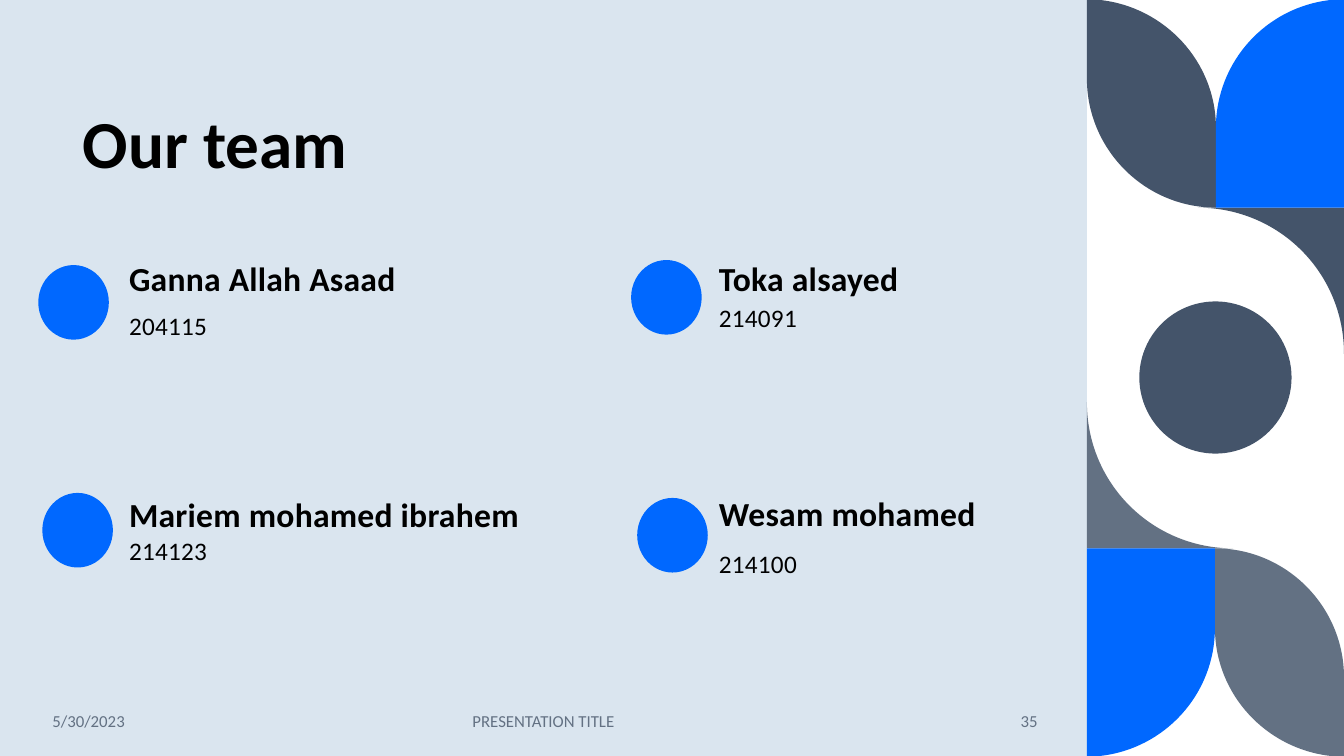
"""Build the "Our team" slide with four members and a geometric side band."""
from dataclasses import dataclass

import lxml.etree
import pptx
import pptx.dml.color
import pptx.enum.shapes
import pptx.enum.text
import pptx.oxml.ns
import pptx.util

Inches = pptx.util.Inches
ALIGN = pptx.enum.text.PP_ALIGN
ANCHOR = pptx.enum.text.MSO_ANCHOR
SHAPE = pptx.enum.shapes.MSO_SHAPE

COLORS = {
    "panel": "DAE5EF",
    "slate": "44546A",
    "gray": "637183",
    "blue": "0068FF",
    "white": "FFFFFF",
    "text": "000000",
}
SLIDE_W, SLIDE_H, PANEL_W = 13.33, 7.5, 10.78
Point = tuple[float, float]
Segments = list[tuple[Point, ...]]


@dataclass
class Member:
    name: str
    number: str
    left: float
    name_top: float
    number_top: float
    name_width: float
    dot: Point


@dataclass
class Petal:
    segments: Segments
    top_color: str
    bottom_color: str


@dataclass
class FooterItem:
    text: str
    left: float
    width: float
    align: ALIGN


MEMBERS = [
    Member("Ganna Allah Asaad", "204115", 1.28, 2.58, 3.08, 2.97, (0.38, 2.63)),
    Member("Toka alsayed", "214091", 7.13, 2.58, 3.0, 2.49, (6.26, 2.58)),
    Member("Mariem mohamed ibrahem", "214123", 1.28, 4.92, 5.31, 4.21, (0.42, 4.89)),
    Member("Wesam mohamed", "214100", 7.13, 4.91, 5.44, 2.88, (6.32, 4.94)),
]
PETALS = [
    Petal([((10.78, 0),), ((10.78, 0.78),),
           ((10.78, 1.48), (11.35, 2.06), (12.06, 2.06)), ((12.06, 1.27),),
           ((12.06, 0.61), (11.55, 0.07), (10.91, 0))], "slate", "gray"),
    Petal([((13.33, 2.06),), ((11.88, 2.06),),
           ((12.68, 2.06), (13.33, 2.7), (13.33, 3.51))], "slate", "gray"),
    Petal([((13.33, 0),), ((13.33, 2.06),), ((12.06, 2.06),), ((12.06, 1.27),),
           ((12.06, 0.61), (12.56, 0.07), (13.2, 0))], "blue", "blue"),
]
FOOTER = [
    FooterItem("5/30/2023", 0.42, 1.72, ALIGN.LEFT),
    FooterItem("PRESENTATION TITLE", 3.14, 4.5, ALIGN.CENTER),
    FooterItem("35", 9.11, 1.28, ALIGN.RIGHT),
]


def rgb(color: str) -> pptx.dml.color.RGBColor:
    """Return the named palette colour."""
    return pptx.dml.color.RGBColor.from_string(COLORS[color])


def paint(shape, color: str) -> None:
    """Give a shape a flat fill without outline or shadow."""
    shape.shadow.inherit = False
    shape.fill.solid()
    shape.fill.fore_color.rgb = rgb(color)
    shape.line.fill.background()


def add_flat(slide, kind: SHAPE, left: float, top: float,
             width: float, height: float, color: str) -> None:
    """Add a flat preset shape."""
    box = map(Inches, (left, top, width, height))
    paint(slide.shapes.add_shape(kind, *box), color)


def add_outline(slide, segments: Segments, color: str) -> None:
    """Add a closed flat outline; a segment of three points is a cubic curve."""
    points = [(Inches(x), Inches(y)) for segment in segments for x, y in segment]
    builder = slide.shapes.build_freeform(*points[0])
    builder.add_line_segments(points[1:], close=True)
    outline = builder.convert_to_shape()
    paint(outline, color)
    lines = iter(list(outline.element.iter(pptx.oxml.ns.qn("a:lnTo"))))
    for segment in segments[1:]:
        steps = [next(lines) for _ in segment]
        if len(steps) == 3:
            curve = lxml.etree.Element(pptx.oxml.ns.qn("a:cubicBezTo"))
            steps[0].addprevious(curve)
            for step in steps:
                curve.append(step[0])
                step.getparent().remove(step)


def write(frame, text: str, *, size: float, color: str = "text", bold: bool = False,
          align: ALIGN = ALIGN.LEFT, anchor: ANCHOR = ANCHOR.TOP,
          insets: tuple[float, ...] = (0, 0, 0, 0), spacing: int = 0,
          line_spacing: float = 1.0) -> None:
    """Write one formatted paragraph into a text frame."""
    frame.word_wrap = True
    frame.auto_size = pptx.enum.text.MSO_AUTO_SIZE.NONE
    frame.vertical_anchor = anchor
    (frame.margin_left, frame.margin_top,
     frame.margin_right, frame.margin_bottom) = map(Inches, insets)
    paragraph = frame.paragraphs[0]
    paragraph.alignment = align
    paragraph.line_spacing = line_spacing
    run = paragraph.add_run()
    run.text = text
    run.font.name = "Calibri"
    run.font.size = pptx.util.Pt(size)
    run.font.bold = bold
    run.font.color.rgb = rgb(color)
    if spacing:
        run._r.get_or_add_rPr().set("spc", str(spacing))


def add_label(slide, text: str, left: float, top: float,
              width: float, height: float, **style) -> None:
    """Add a text box with one formatted paragraph."""
    label = slide.shapes.add_textbox(*map(Inches, (left, top, width, height)))
    write(label.text_frame, text, **style)


def add_side_band(slide) -> None:
    """Draw the petals, each with its half-turn twin, and the centre disc."""
    for petal in PETALS:
        turned = [tuple((PANEL_W + SLIDE_W - x, SLIDE_H - y) for x, y in segment)
                  for segment in petal.segments]
        add_outline(slide, petal.segments, petal.top_color)
        add_outline(slide, turned, petal.bottom_color)
    add_flat(slide, SHAPE.OVAL, 11.3, 2.99, 1.51, 1.51, "slate")


def add_title(slide, text: str) -> None:
    """Place the title above the panel and format it."""
    title = slide.shapes.title
    slide.shapes._spTree.append(title._element)
    title.left, title.top, title.width, title.height = map(
        Inches, (0.82, 0.42, 9.19, 1.45))
    write(title.text_frame, text, size=48, bold=True, anchor=ANCHOR.BOTTOM,
          insets=(0, 0.05, 0.1, 0.05), line_spacing=0.9)


def add_member(slide, member: Member) -> None:
    """Draw one member's dot, name and number."""
    add_label(slide, member.name, member.left, member.name_top, member.name_width, 0.38,
              size=24, bold=True, anchor=ANCHOR.BOTTOM, spacing=20)
    add_label(slide, member.number, member.left, member.number_top, 2.49, 0.38,
              size=18, spacing=20)
    add_flat(slide, SHAPE.OVAL, *member.dot, 0.7, 0.74, "blue")


def main() -> None:
    """Build and save the slide."""
    deck = pptx.Presentation()
    deck.slide_width, deck.slide_height = Inches(SLIDE_W), Inches(SLIDE_H)
    slide = deck.slides.add_slide(deck.slide_layouts[5])
    slide.background.fill.solid()
    slide.background.fill.fore_color.rgb = rgb("white")
    add_flat(slide, SHAPE.RECTANGLE, 0, 0, PANEL_W, SLIDE_H, "panel")
    add_side_band(slide)
    add_title(slide, "Our team")
    for member in MEMBERS:
        add_member(slide, member)
    for item in FOOTER:
        add_label(slide, item.text, item.left, 6.95, item.width, 0.4, size=12,
                  color="gray", align=item.align, anchor=ANCHOR.MIDDLE,
                  insets=(0.1, 0.05, 0.1, 0.05))
    deck.save("out.pptx")


if __name__ == "__main__":
    main()
